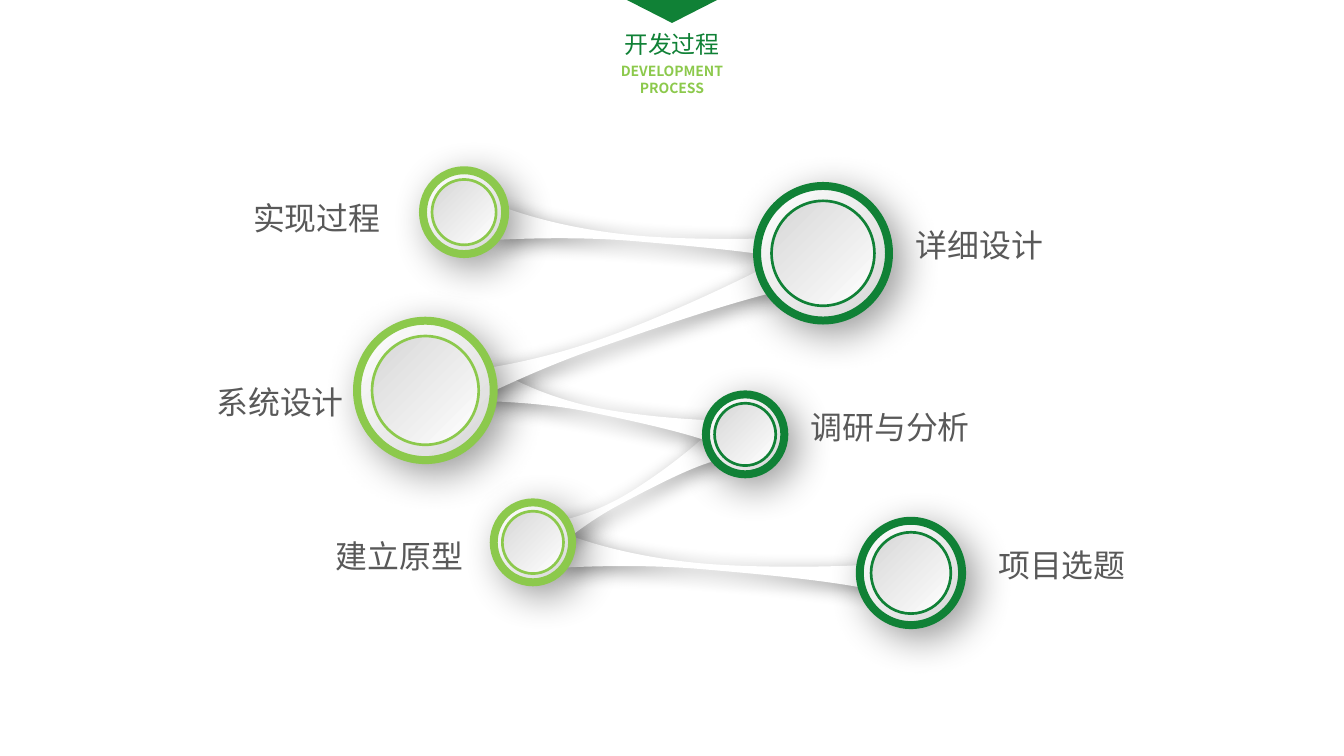
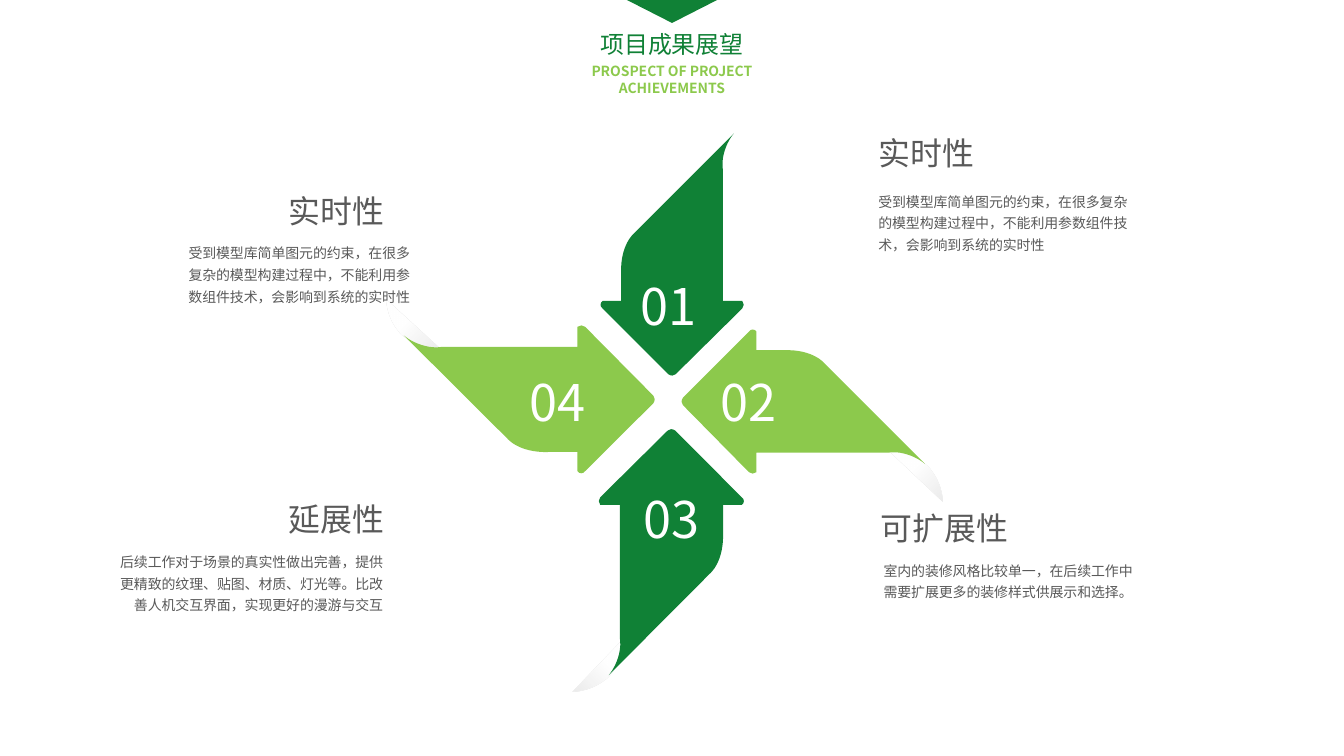
from dataclasses import dataclass
from typing import NamedTuple

from lxml import etree
from pptx import Presentation
from pptx import util as u
from pptx.dml.color import RGBColor
from pptx.enum import shapes, text
from pptx.oxml.ns import qn


@dataclass(frozen=True)
class Theme:
    dark: str = "108136"
    light: str = "8CC94C"
    grey: str = "595959"
    white: str = "FFFFFF"
    shade: str = "D7D7D7"
    curl: str = "B0B0B0"
    sans: str = "Noto Sans CJK SC"
    label: str = "Roboto"
    title_size: float = 18
    small_size: float = 10.5
    heading_size: float = 24
    number_size: float = 38


THEME = Theme()
LEFT, CENTER, RIGHT = text.PP_ALIGN.LEFT, text.PP_ALIGN.CENTER, text.PP_ALIGN.RIGHT

# The grid has square cells a tenth of an inch wide
COLUMNS, ROWS = 140.6, 79.1
MIDDLE = COLUMNS / 2


def cells(count: float) -> int:
    return u.Inches(count / 10)


class Box(NamedTuple):
    """A rectangle in grid columns and rows."""
    left: float
    top: float
    width: float
    height: float

    def emu(self) -> list[int]:
        return [cells(value) for value in self]


class Style(NamedTuple):
    size: float
    color: str
    font: str = THEME.sans
    align: int = LEFT
    bold: bool = False
    spacing: float = 1.0


class Stop(NamedTuple):
    position: float
    color: str
    alpha: int = 100


class Shadow(NamedTuple):
    blur: float
    distance: float


@dataclass(frozen=True)
class Node:
    column: float
    row: float
    diameter: float
    color: str
    label: str
    label_edge: float  # the side of the label nearest to the ring
    label_top: float
    align: int


@dataclass(frozen=True)
class Ribbon:
    box: Box
    rotation: float


@dataclass(frozen=True)
class Arrow:
    number: str
    turn: int  # clockwise quarter turns from pointing right
    box: Box
    color: str
    number_left: float
    number_top: float


@dataclass(frozen=True)
class Curl:
    turn: int
    box: Box
    angle: float


@dataclass(frozen=True)
class Topic:
    heading: str
    body: str
    heading_box: Box
    body_box: Box
    align: int


# Outlines: one point is a line, three points are a cubic curve
Point = tuple[float, float]


@dataclass(frozen=True)
class Outline:
    width: float
    height: float
    start: Point
    segments: tuple[tuple[Point, ...], ...]

    def points(self, turn: int, box: Box) -> list[Point]:
        """Turn the outline and fit its points to the box."""
        points = [self.start, *(point for segment in self.segments for point in segment)]
        shares = [(x / self.width, y / self.height) for x, y in points]
        for _ in range(turn):
            shares = [(1 - y, x) for x, y in shares]
        return [(box.left + x * box.width, box.top + y * box.height) for x, y in shares]


RIBBON = Outline(3.49, 0.36, (0, 0), (
    ((0.38, 0.11), (0.9, 0.19), (1.49, 0.19)),
    ((2.07, 0.19), (3.11, 0.09), (3.49, 0)),
    ((3.49, 0.36),),
    ((3.14, 0.25), (2.04, 0.25), (1.45, 0.25)),
    ((0.87, 0.25), (0.3, 0.32), (0, 0.36)),
))
ARROW = Outline(2.62, 1.56, (1.89, 1.53), (
    ((2.6, 0.82),),
    ((2.62, 0.79), (2.62, 0.76), (2.6, 0.74)),
    ((1.89, 0.02),),
    ((1.87, 0), (1.83, 0), (1.81, 0.02)),
    ((1.81, 0.23),),
    ((0.39, 0.23),),
    ((0.39, 0.23), (0.34, 0.24), (0.27, 0.23)),
    ((0.15, 0.21), (0.06, 0.16), (0, 0.11)),
    ((1.08, 1.19),),
    ((1.08, 1.19), (1.2, 1.34), (1.51, 1.33)),
    ((1.81, 1.33),),
    ((1.81, 1.53),),
    ((1.83, 1.56), (1.87, 1.56), (1.89, 1.53)),
))
CURL = Outline(0.56, 0.53, (0.56, 0.53), (
    ((0, 0),),
    ((0, 0), (0, 0.18), (0.12, 0.33)),
    ((0.14, 0.36), (0.16, 0.38), (0.19, 0.4)),
    ((0.26, 0.46), (0.35, 0.5), (0.47, 0.52)),
    ((0.5, 0.53), (0.53, 0.53), (0.56, 0.53)),
))

# Content of the process slide
RIBBONS = [
    Ribbon(Box(58.8, 57.3, 35, 3.6), 4.9),
    Ribbon(Box(55.3, 49.7, 21.2, 3.5), 331.9),
    Ribbon(Box(51.1, 41.2, 26.3, 3.5), 11.8),
    Ribbon(Box(52, 23, 35, 3.6), 4.9),
    Ribbon(Box(44.6, 32.1, 42, 4.6), 340.9),
]
NODES = [
    Node(48.55, 22.2, 8.6, THEME.light, "实现过程", 40.8, 20.3, RIGHT),
    Node(86.1, 26.5, 13.8, THEME.dark, "详细设计", 94.8, 23.1, LEFT),
    Node(44.5, 40.85, 14.3, THEME.light, "系统设计", 36.95, 39.5, RIGHT),
    Node(77.95, 45.45, 8.2, THEME.dark, "调研与分析", 83.8, 42.15, LEFT),
    Node(55.75, 56.75, 8.2, THEME.light, "建立原型", 49.45, 55.65, RIGHT),
    Node(95.3, 59.95, 10.7, THEME.dark, "项目选题", 103.45, 56.55, LEFT),
]

# Content of the prospect slide
ARROWS = [
    Arrow("04", 0, Box(42.25, 34, 26.3, 15.6), THEME.light, 54.4, 38.35),
    Arrow("02", 2, Box(71.25, 34.4, 25.5, 15.2), THEME.light, 74.4, 38.35),
    Arrow("01", 1, Box(62.75, 13.95, 15.1, 25.4), THEME.dark, 66, 28.3),
    Arrow("03", 3, Box(62.6, 44.85, 15.3, 25.8), THEME.dark, 66.3, 50.55),
]
CURLS = [
    Curl(0, Box(40.5, 31.3, 5.7, 5.3), 225),
    Curl(2, Box(93.1, 47.3, 5.5, 5.2), 225),
    Curl(3, Box(59.9, 66.8, 5.3, 5.6), 315),
]
REAL_TIME = "受到模型库简单图元的约束，在很多复杂的模型构建过程中，不能利用参数组件技术，会影响到系统的实时性"
TOPICS = [
    Topic("实时性", REAL_TIME, Box(90.9, 13.5, 23.2, 5), Box(90.9, 19.2, 29.4, 7.7), LEFT),
    Topic("可扩展性", "室内的装修风格比较单一，在后续工作中需要扩展更多的装修样式供展示和选择。",
          Box(91.15, 52.7, 23.2, 5), Box(91.45, 57.8, 29.4, 5.4), LEFT),
    Topic("延展性", "后续工作对于场景的真实性做出完善，提供更精致的纹理、贴图、材质、灯光等。"
          "比改善人机交互界面，实现更好的漫游与交互",
          Box(18, 51.8, 23.2, 5), Box(10.3, 56.9, 30.8, 7.9), RIGHT),
    Topic("实时性", REAL_TIME, Box(18, 19.6, 23.2, 5), Box(17.7, 24.6, 26.2, 7.7), RIGHT),
]


# Formatting helpers
def write(shape, content: str, style: Style, wrap: bool = True) -> None:
    frame = shape.text_frame
    frame.text = content
    frame.word_wrap = wrap
    frame.auto_size = text.MSO_AUTO_SIZE.NONE
    frame.vertical_anchor = text.MSO_ANCHOR.TOP
    paragraph = frame.paragraphs[0]
    paragraph.alignment = style.align
    paragraph.line_spacing = style.spacing
    font = paragraph.font
    font.size, font.bold, font.name = u.Pt(style.size), style.bold, style.font
    font.color.rgb = RGBColor.from_string(style.color)
    etree.SubElement(font._rPr, qn("a:ea"), typeface=style.font)


def add_text(slide, box: Box, content: str, style: Style, wrap: bool = True) -> None:
    write(slide.shapes.add_textbox(*box.emu()), content, style, wrap)


def fill_solid(shape, color: str) -> None:
    shape.shadow.inherit = False
    shape.fill.solid()
    shape.fill.fore_color.rgb = RGBColor.from_string(color)
    shape.line.fill.background()


def fill_gradient(shape, stops: tuple[Stop, Stop], angle: float) -> None:
    """Fill along a clockwise angle; the line must be set afterwards."""
    shape.shadow.inherit = False
    shape.fill.gradient()
    shape.fill.gradient_angle = 360 - angle
    for target, stop in zip(shape.fill.gradient_stops, stops):
        target.position = stop.position
        target.color.rgb = RGBColor.from_string(stop.color)
    for color, stop in zip(shape._element.spPr.iter(qn("a:srgbClr")), stops):
        if stop.alpha < 100:
            etree.SubElement(color, qn("a:alpha"), val=str(stop.alpha * 1000))


def add_shadow(shape, shadow: Shadow) -> None:
    effects = shape._element.spPr.find(qn("a:effectLst"))
    outer = etree.SubElement(
        effects, qn("a:outerShdw"), blurRad=str(u.Pt(shadow.blur)),
        dist=str(u.Pt(shadow.distance)), dir=str(45 * 60000), algn="tl", rotWithShape="0")
    color = etree.SubElement(outer, qn("a:srgbClr"), val="000000")
    etree.SubElement(color, qn("a:alpha"), val="40000")


def add_outline(slide, outline: Outline, box: Box, turn: int = 0):
    points = [(cells(x), cells(y)) for x, y in outline.points(turn, box)]
    builder = slide.shapes.build_freeform(*points[0], scale=1.0)
    builder.add_line_segments(points[1:], close=True)
    shape = builder.convert_to_shape()
    # Join the three points of each curve into one cubic segment
    lines = iter(list(shape._element.spPr.iter(qn("a:lnTo"))))
    for segment in outline.segments:
        first, *others = [next(lines) for _ in segment]
        if others:
            curve = etree.Element(qn("a:cubicBezTo"))
            first.addprevious(curve)
            for line in (first, *others):
                curve.append(line[0])
                line.getparent().remove(line)
    return shape


# Slide parts
def add_header_slide(presentation, title: str, subtitle: str, subtitle_width: float):
    slide = presentation.slides.add_slide(presentation.slide_layouts[5])
    heading = slide.shapes.title
    heading.left, heading.top, heading.width, heading.height = Box(MIDDLE - 10, 2.6, 20, 4).emu()
    write(heading, title, Style(THEME.title_size, THEME.dark, align=CENTER), wrap=False)
    add_text(slide, Box(MIDDLE - subtitle_width / 2, 6.1, subtitle_width, 2.8), subtitle,
             Style(THEME.small_size, THEME.light, align=CENTER, bold=True))
    pointer = slide.shapes.add_shape(shapes.MSO_SHAPE.ISOSCELES_TRIANGLE,
                                     *Box(MIDDLE - 5.1, -0.2, 10.2, 2.6).emu())
    pointer.rotation = 180
    fill_solid(pointer, THEME.dark)
    return slide


def add_ribbon(slide, ribbon: Ribbon) -> None:
    shape = add_outline(slide, RIBBON, ribbon.box)
    shape.rotation = ribbon.rotation
    fill_solid(shape, THEME.white)
    add_shadow(shape, Shadow(15, 5))


def add_node(slide, node: Node) -> None:
    group = slide.shapes.add_group_shape()
    stops = (Stop(0, THEME.white), Stop(1, THEME.shade))
    for share, angle, weight, shadow in ((1, 45, 6, Shadow(30, 10)), (0.78, 225, 2, None)):
        width = node.diameter * share
        height = width * 1.02
        ring = group.shapes.add_shape(
            shapes.MSO_SHAPE.OVAL,
            *Box(node.column - width / 2, node.row - height / 2, width, height).emu())
        fill_gradient(ring, stops, angle)
        ring.line.color.rgb = RGBColor.from_string(node.color)
        ring.line.width = u.Pt(weight)
        if shadow:
            add_shadow(ring, shadow)
    width = 32
    left = node.label_edge - width if node.align == RIGHT else node.label_edge
    add_text(slide, Box(left, node.label_top, width, 5.1), node.label,
             Style(THEME.heading_size, THEME.grey, THEME.label, node.align))


def add_curl(slide, curl: Curl) -> None:
    shape = add_outline(slide, CURL, curl.box, curl.turn)
    fill_gradient(shape, (Stop(0, THEME.curl, 24), Stop(0.59, THEME.white, 27)), curl.angle)
    shape.line.fill.background()


def add_arrow(slide, arrow: Arrow) -> None:
    fill_solid(add_outline(slide, ARROW, arrow.box, arrow.turn), arrow.color)
    add_text(slide, Box(arrow.number_left, arrow.number_top, 8.6, 7.4), arrow.number,
             Style(THEME.number_size, THEME.white), wrap=False)


def add_topic(slide, topic: Topic) -> None:
    add_text(slide, topic.heading_box, topic.heading,
             Style(THEME.heading_size, THEME.grey, THEME.label, topic.align))
    add_text(slide, topic.body_box, topic.body,
             Style(THEME.small_size, THEME.grey, align=topic.align, spacing=1.3))


def main() -> None:
    presentation = Presentation()
    presentation.slide_width, presentation.slide_height = cells(COLUMNS), cells(ROWS)

    process = add_header_slide(presentation, "开发过程", "DEVELOPMENT PROCESS", 18)
    prospect = add_header_slide(presentation, "项目成果展望", "PROSPECT OF PROJECT ACHIEVEMENTS", 27.4)
    for slide, add_part, parts in (
            (process, add_ribbon, RIBBONS), (process, add_node, NODES),
            (prospect, add_curl, CURLS), (prospect, add_arrow, ARROWS),
            (prospect, add_topic, TOPICS)):
        for part in parts:
            add_part(slide, part)

    presentation.save("out.pptx")


if __name__ == "__main__":
    main()
